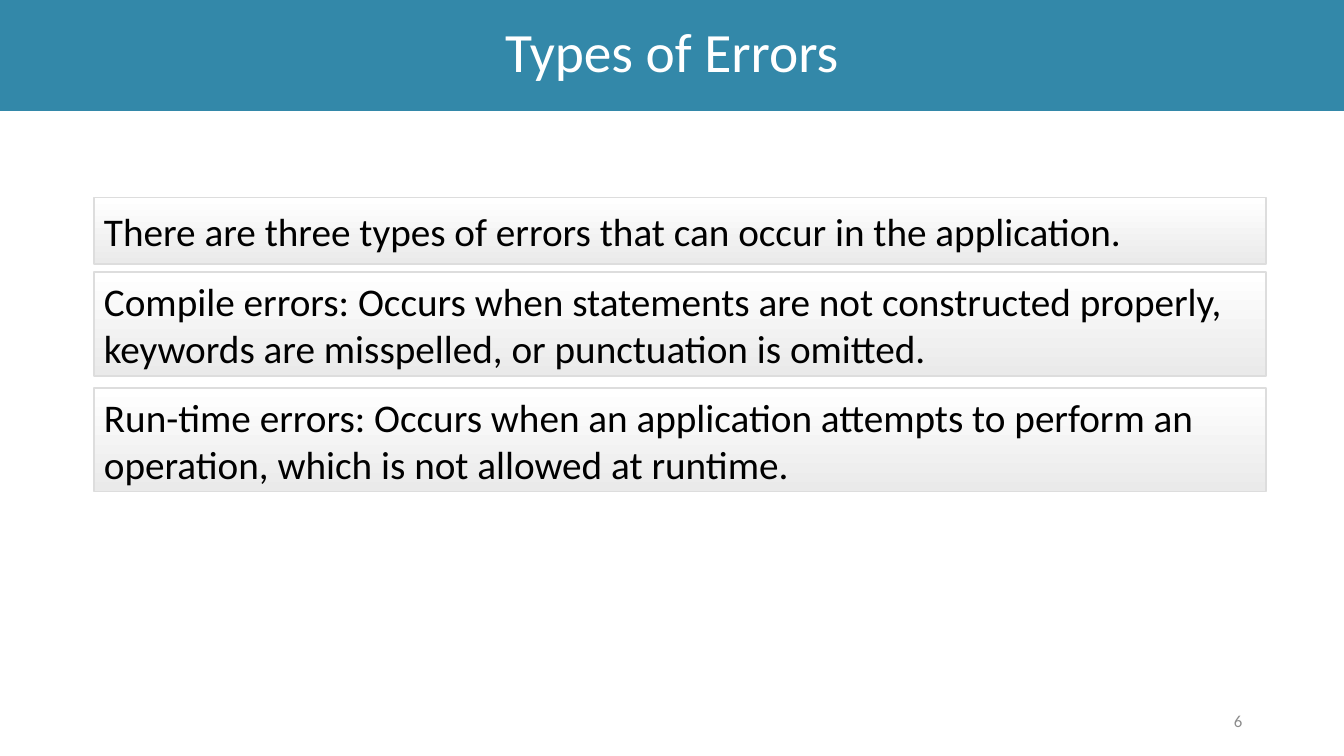
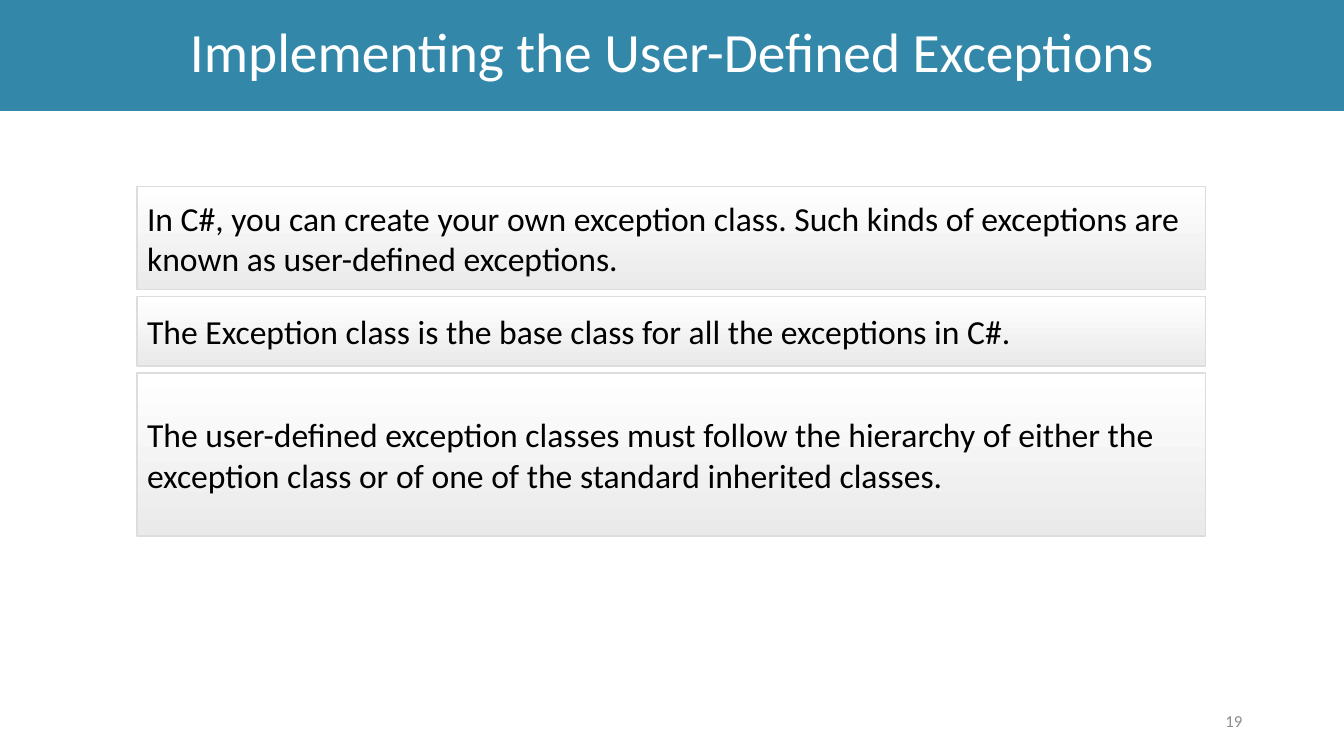
from pptx import Presentation
from pptx.dml.color import RGBColor
from pptx.enum.shapes import MSO_SHAPE
from pptx.enum.text import MSO_ANCHOR, PP_ALIGN
from pptx.util import Inches, Pt

COLORS = {
    "band": "3388A9",
    "title": "FFFFFF",
    "body": "000000",
    "number": "8C8C8C",
    "panel_top": "FFFFFF",
    "panel_bottom": "EAEAEA",
    "panel_edge": "DDDDDD",
}
FONT = "Calibri"

# Left, top, width and height in percent of the slide
TITLE_BAND = (0, 0, 100, 14.67)
NUMBER_AREA = (70.67, 92.67, 22.5, 5.33)

# Each statement: top and height in percent, then its wording
SLIDES = [
    {
        "title": "Types of Errors", "number": 6,
        "left": 7, "width": 87.2, "size": 28,
        "statements": [
            (26.13, 8.8, "There are three types of errors that can occur in the application."),
            (36, 13.73, "Compile errors: Occurs when statements are not constructed properly, "
                        "keywords are misspelled, or punctuation is omitted."),
            (51.33, 13.73, "Run-time errors: Occurs when an application attempts to perform an "
                           "operation, which is not allowed at runtime."),
        ],
    },
    {
        "title": "Implementing the User-Defined Exceptions", "number": 19,
        "left": 10.2, "width": 79.5, "size": 24,
        "statements": [
            (24.67, 13.6, "In C#, you can create your own exception class. Such kinds of "
                          "exceptions are known as user-defined exceptions."),
            (39.2, 9.2, "The Exception class is the base class for all the exceptions in C#."),
            (49.33, 21.6, "The user-defined exception classes must follow the hierarchy of either "
                          "the exception class or of one of the standard inherited classes."),
        ],
    },
]

deck = Presentation()
deck.slide_width = Inches(13.33)
deck.slide_height = Inches(7.5)


def place(area):
    """Turn percentages of the slide into lengths."""
    sides = (deck.slide_width, deck.slide_height) * 2
    return [int(side * share / 100) for side, share in zip(sides, area)]


def write(shape, text, size, color, align):
    frame = shape.text_frame
    frame.word_wrap = True
    frame.vertical_anchor = MSO_ANCHOR.MIDDLE
    paragraph = frame.paragraphs[0]
    paragraph.alignment = align
    run = paragraph.add_run()
    run.text = text
    run.font.name = FONT
    run.font.size = Pt(size)
    run.font.color.rgb = RGBColor.from_string(COLORS[color])
    return frame


for content in SLIDES:
    slide = deck.slides.add_slide(deck.slide_layouts[6])

    band = slide.shapes.add_shape(MSO_SHAPE.RECTANGLE, *place(TITLE_BAND))
    band.shadow.inherit = False
    band.fill.solid()
    band.fill.fore_color.rgb = RGBColor.from_string(COLORS["band"])
    band.line.fill.background()
    heading = write(band, content["title"], 39.6, "title", PP_ALIGN.CENTER)
    heading.margin_bottom = Inches(0.07)
    heading.paragraphs[0].line_spacing = 0.9

    page_number = slide.shapes.add_textbox(*place(NUMBER_AREA))
    write(page_number, str(content["number"]), 12, "number", PP_ALIGN.RIGHT)

    for top, height, statement in content["statements"]:
        area = (content["left"], top, content["width"], height)
        panel = slide.shapes.add_shape(MSO_SHAPE.RECTANGLE, *place(area))
        panel.shadow.inherit = False
        panel.fill.gradient()
        panel.fill.gradient_angle = 270
        for stop, shade in zip(panel.fill.gradient_stops, ("panel_top", "panel_bottom")):
            stop.color.rgb = RGBColor.from_string(COLORS[shade])
        panel.line.color.rgb = RGBColor.from_string(COLORS["panel_edge"])
        panel.line.width = Pt(1)
        write(panel, statement, content["size"], "body", PP_ALIGN.LEFT)

deck.save("out.pptx")
